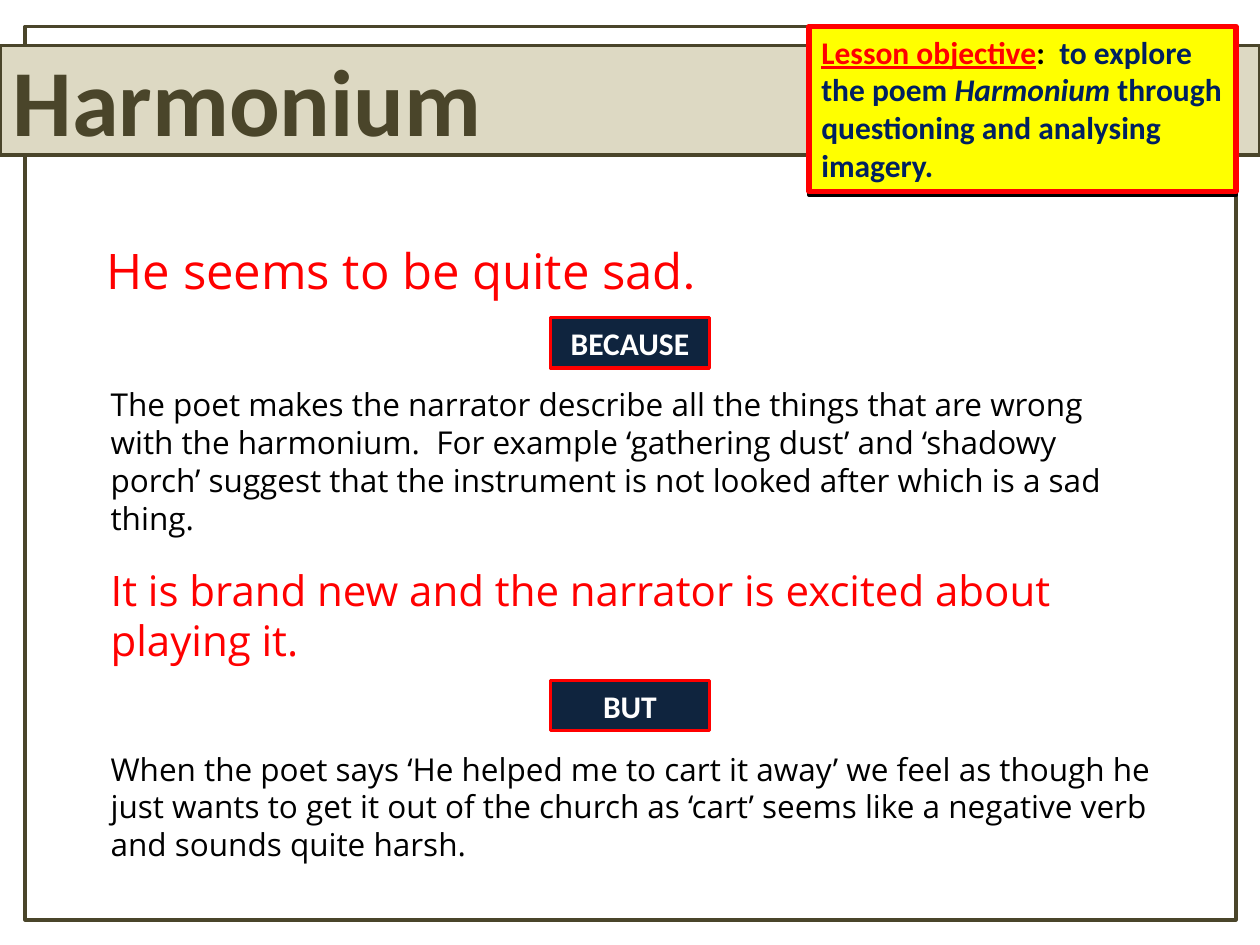
from dataclasses import dataclass, field

from lxml.etree import SubElement
from pptx import Presentation
from pptx.dml.color import RGBColor
from pptx.enum.shapes import MSO_SHAPE
from pptx.enum.text import MSO_ANCHOR, MSO_AUTO_SIZE, PP_ALIGN
from pptx.oxml.ns import qn
from pptx.util import Inches, Pt

RED, WHITE, BLACK, NAVY = "FF0000", "FFFFFF", "000000", "0F243E"
OLIVE, SAND, YELLOW, INK = "4A452A", "DDD9C3", "FFFF00", "002060"
HEADING_FONT, BODY_FONT = "Calibri", "Open Sans"
TEXT_LEFT, TEXT_WIDTH = 0.78, 8.47


@dataclass
class Run:
    text: str
    size: float
    color: str
    name: str = BODY_FONT
    styles: dict = field(default_factory=dict)


@dataclass
class Box:
    left: float
    top: float
    width: float
    height: float
    fill: str = WHITE
    opacity: int = 100
    line: str | None = None
    line_width: float = 2
    runs: tuple[Run, ...] = ()
    alignment: PP_ALIGN = PP_ALIGN.LEFT


def rgb(color: str) -> RGBColor:
    return RGBColor.from_string(color)


def place(shape, left: float, top: float, width: float, height: float) -> None:
    values = {"left": left, "top": top, "width": width, "height": height}
    for name, value in values.items():
        setattr(shape, name, Inches(value))


def write(shape, runs: tuple[Run, ...], alignment: PP_ALIGN) -> None:
    frame_format = {
        "word_wrap": True,
        "auto_size": MSO_AUTO_SIZE.NONE,
        "vertical_anchor": MSO_ANCHOR.TOP,
    }
    for name, value in frame_format.items():
        setattr(shape.text_frame, name, value)
    paragraph = shape.text_frame.paragraphs[0]
    paragraph.alignment = alignment
    for item in runs:
        run = paragraph.add_run()
        run.text = item.text
        run.font.color.rgb = rgb(item.color)
        font_format = {"name": item.name, "size": Pt(item.size), **item.styles}
        for name, value in font_format.items():
            setattr(run.font, name, value)


def draw_box(slide, box: Box) -> None:
    shape = slide.shapes.add_shape(
        MSO_SHAPE.RECTANGLE,
        *(Inches(value) for value in (box.left, box.top, box.width, box.height)),
    )
    shape.shadow.inherit = False
    shape.fill.solid()
    shape.fill.fore_color.rgb = rgb(box.fill)
    if box.opacity < 100:
        color = shape.fill._xPr.find(qn("a:solidFill"))[0]
        SubElement(color, qn("a:alpha"), val=str(box.opacity * 1000))
    if box.line:
        shape.line.color.rgb = rgb(box.line)
        shape.line.width = Pt(box.line_width)
    else:
        shape.line.fill.background()
    if box.runs:
        write(shape, box.runs, box.alignment)


def statement(top: float, height: float, *runs: Run, left: float = TEXT_LEFT,
              width: float = TEXT_WIDTH) -> Box:
    return Box(left, top, width, height, opacity=60, runs=runs)


def connective(top: float, word: str) -> Box:
    run = Run(word, 18, WHITE, HEADING_FONT, {"bold": True})
    return Box(4.37, top, 1.26, 0.4, NAVY, line=RED, runs=(run,),
               alignment=PP_ALIGN.CENTER)


def objective(text: str, color: str, **styles: bool) -> Run:
    return Run(text, 18, color, HEADING_FONT, {"bold": True, **styles})


BACKDROP = (
    Box(0.2, 0.21, 9.61, 7.09, opacity=63, line=OLIVE),
    Box(0, 0.36, 10, 0.87, SAND, line=OLIVE),
    Box(6.42, 0.21, 3.39, 1.34, line=BLACK),
)

CONTENT = (
    statement(1.86, 0.57, Run("He seems to be quite sad", 28, RED),
              Run(".", 28, RED, HEADING_FONT), left=0.75, width=8.5),
    connective(2.52, "BECAUSE"),
    statement(3.01, 1.31, Run(
        "The poet makes the narrator describe all the things that are wrong "
        "with the harmonium.  For example ‘gathering dust’ and ‘shadowy porch’ "
        "suggest that the instrument is not looked after which is a sad thing.",
        18, BLACK)),
    statement(4.43, 0.91, Run(
        "It is brand new and the narrator is excited about playing it.", 24, RED)),
    connective(5.4, "BUT"),
    statement(5.9, 1.01, Run(
        "When the poet says ‘He helped me to cart it away’ we feel as though he "
        "just wants to get it out of the church as ‘cart’ seems like a negative "
        "verb and sounds quite harsh.", 18, BLACK)),
    Box(6.42, 0.21, 3.39, 1.31, YELLOW, line=RED, line_width=3, runs=(
        objective("Lesson objective", RED, underline=True),
        objective(":  ", BLACK),
        objective("to explore the poem ", INK),
        objective("Harmonium ", INK, italic=True),
        objective("through questioning and analysing imagery.", INK),
    )),
)


def main() -> None:
    presentation = Presentation()
    presentation.slide_width, presentation.slide_height = Inches(10), Inches(7.5)
    slide = presentation.slides.add_slide(presentation.slide_layouts[5])
    for box in BACKDROP:
        draw_box(slide, box)

    title = slide.shapes.title
    place(title, 0, 0.28, 6.42, 1.01)
    write(title, (Run("Harmonium", 54, OLIVE, HEADING_FONT, {"bold": True}),),
          PP_ALIGN.LEFT)
    # Bring the title in front of the band.
    slide.shapes._spTree.append(title._element)

    for box in CONTENT:
        draw_box(slide, box)
    presentation.save("out.pptx")


if __name__ == "__main__":
    main()
